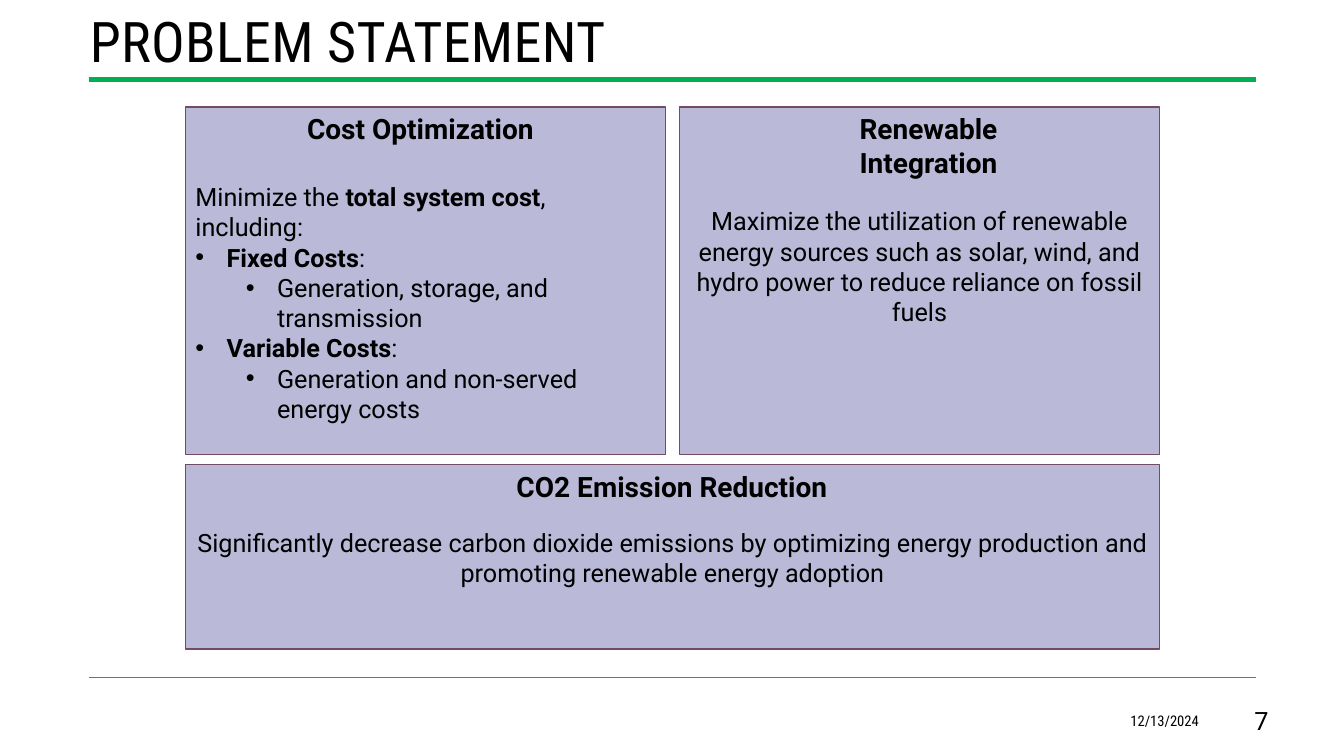
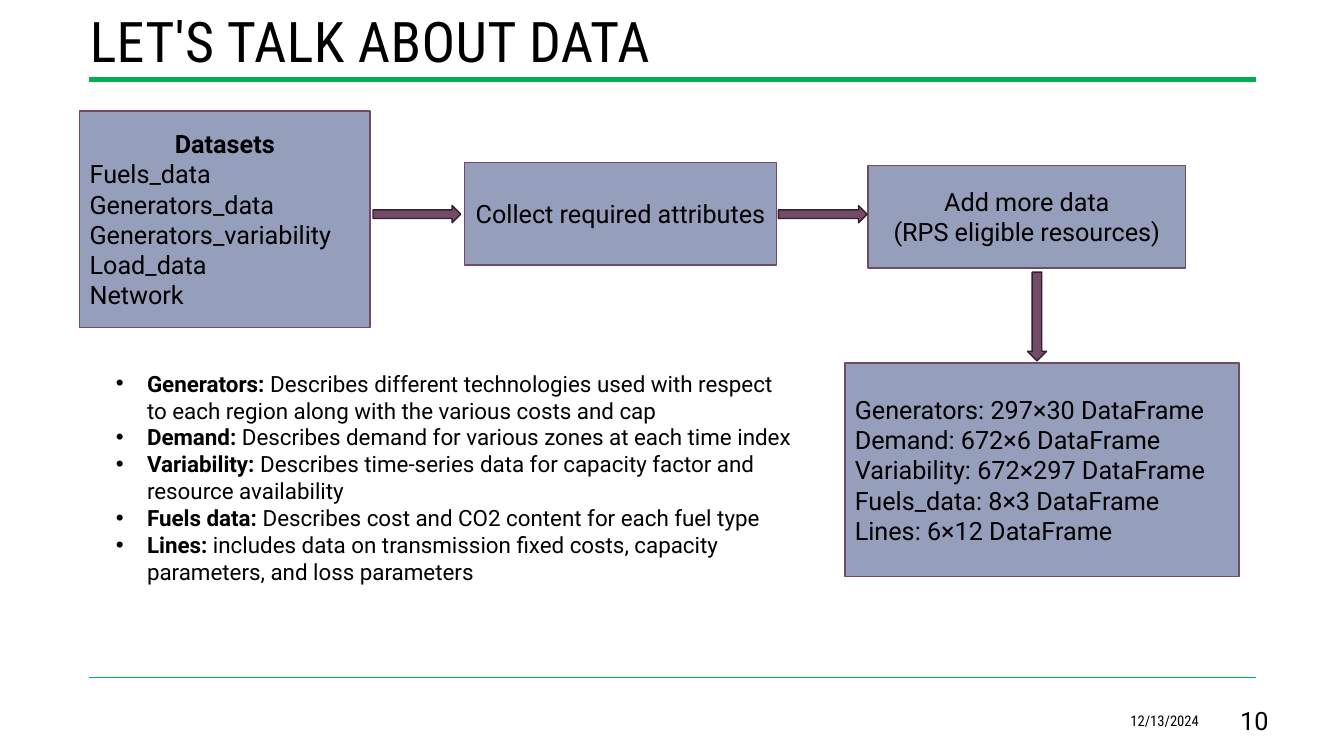
from dataclasses import dataclass

from lxml.etree import SubElement
from pptx import Presentation
from pptx.dml.color import RGBColor
from pptx.enum.shapes import MSO_CONNECTOR, MSO_SHAPE
from pptx.enum.text import MSO_ANCHOR, MSO_AUTO_SIZE, PP_ALIGN
from pptx.oxml.ns import qn
from pptx.util import Pt

PX = 9144  # EMU in one px; 100 px make an inch

BLACK = RGBColor(0x00, 0x00, 0x00)
GREEN = RGBColor(0x00, 0xB0, 0x50)
LILAC = RGBColor(0xBA, 0xBA, 0xD8)
SLATE = RGBColor(0x95, 0x9E, 0xBB)
PLUM = RGBColor(0x73, 0x4B, 0x67)
DARK_PLUM = RGBColor(0x32, 0x21, 0x2D)

BODY_FONT = "Roboto"
TITLE_FONT = "Roboto Condensed"
LEFT, CENTER, RIGHT = PP_ALIGN.LEFT, PP_ALIGN.CENTER, PP_ALIGN.RIGHT
TOP, MIDDLE = MSO_ANCHOR.TOP, MSO_ANCHOR.MIDDLE

DATE = "12/13/2024"
BULLET_INDENT, LEVEL_STEP = 31, 50


@dataclass
class Bullet:
    text: str
    level: int = 0


def emu(*lengths):
    return [length * PX for length in lengths]


def set_bullet(para, level):
    para.level = level
    properties = para._p.get_or_add_pPr()
    margin, indent = emu(BULLET_INDENT + LEVEL_STEP * level, BULLET_INDENT)
    properties.set("marL", str(margin))
    properties.set("indent", str(-indent))
    SubElement(properties, qn("a:buFont")).set("typeface", "Arial")
    SubElement(properties, qn("a:buChar")).set("char", "•")


def write(frame, lines, size=18, font=BODY_FONT, align=LEFT, anchor=TOP,
          top=5, spacing=None, tracking=None):
    """Fill a text frame with lines; **marks** enclose bold words."""
    frame.word_wrap = True
    frame.auto_size = MSO_AUTO_SIZE.NONE
    frame.vertical_anchor = anchor
    frame.margin_top = top * PX
    for index, line in enumerate(lines):
        para = frame.add_paragraph() if index else frame.paragraphs[0]
        para.alignment = align
        para.line_spacing = spacing
        if isinstance(line, Bullet):
            set_bullet(para, line.level)
            line = line.text
        for position, piece in enumerate(line.split("**")):
            if not piece:
                continue
            span = para.add_run()
            span.text = piece
            span.font.name = font
            span.font.size = Pt(size)
            span.font.bold = position % 2 == 1
            span.font.color.rgb = BLACK
            if tracking:
                span._r.get_or_add_rPr().set("spc", str(tracking))


def add_text(slide, area, lines, **style):
    box = slide.shapes.add_textbox(*emu(*area))
    write(box.text_frame, lines, **style)


def add_block(slide, kind, area, fill, line):
    block = slide.shapes.add_shape(kind, *emu(*area))
    block.shadow.inherit = False
    block.fill.solid()
    block.fill.fore_color.rgb = fill
    block.line.color.rgb = line
    block.line.width = Pt(1)
    return block


def add_panel(slide, area, fill, lines, **style):
    panel = add_block(slide, MSO_SHAPE.RECTANGLE, area, fill, PLUM)
    write(panel.text_frame, lines, **style)
    return panel


def add_card(slide, area, heading, heading_area, lines, **style):
    """Panel with a separately placed bold heading."""
    add_panel(slide, area, LILAC, lines, **style)
    add_text(slide, heading_area, [f"**{heading}**"], size=20, align=CENTER)


def add_rule(slide, y, weight):
    rule = slide.shapes.add_connector(
        MSO_CONNECTOR.STRAIGHT, *emu(88, y, 1246, y))
    rule.line.color.rgb = GREEN
    rule.line.width = Pt(weight)
    SubElement(rule._element.spPr, qn("a:effectLst"))


def add_page(deck, title, number):
    """Title-only slide with the shared rules, date and page number."""
    slide = deck.slides.add_slide(deck.slide_layouts[5])
    add_rule(slide, 79, 3.5)
    add_rule(slide, 672, 1)
    holder = slide.shapes.title
    holder.left, holder.top, holder.width, holder.height = emu(79, 0, 1169, 89)
    write(holder.text_frame, [title], size=40, font=TITLE_FONT,
          anchor=MIDDLE, spacing=0.9, tracking=30)
    add_text(slide, (915, 695, 284, 40), [DATE], size=10.5, font=TITLE_FONT,
             align=RIGHT, anchor=MIDDLE)
    add_text(slide, (1194, 695, 74, 40), [str(number)], align=RIGHT,
             anchor=MIDDLE)
    return slide


def build_problem(deck):
    slide = add_page(deck, "PROBLEM STATEMENT", 7)
    left, top, width, height, gap = 184, 106, 476, 345, 14
    right = left + width + gap
    bottom = top + height + 10

    add_card(slide, (left, top, width, height),
             "Cost Optimization", (267, top, 300, 44), [
                 "Minimize the **total system cost**, including:",
                 Bullet("**Fixed Costs**:"),
                 Bullet("Generation, storage, and transmission", 1),
                 Bullet("**Variable Costs**:"),
                 Bullet("Generation and non-served energy costs", 1),
             ], top=74)
    add_card(slide, (right, top, width, height),
             "Renewable Integration", (771, top, 300, 74), [
                 "Maximize the utilization of renewable energy sources such "
                 "as solar, wind, and hydro power to reduce reliance on "
                 "fossil fuels",
             ], align=CENTER, top=98)
    add_card(slide, (left, bottom, 2 * width + gap, 183),
             "CO2 Emission Reduction", (431, bottom, 471, 44), [
                 "Significantly decrease carbon dioxide emissions by "
                 "optimizing energy production and promoting renewable "
                 "energy adoption",
             ], align=CENTER, top=62)


def build_data(deck):
    slide = add_page(deck, "LET'S TALK ABOUT DATA", 10)
    datasets = add_panel(slide, (79, 110, 288, 215), SLATE, [
        "**Datasets**", "Fuels_data", "Generators_data",
        "Generators_variability", "Load_data", "Network",
    ], anchor=MIDDLE)
    datasets.text_frame.paragraphs[0].alignment = CENTER
    add_panel(slide, (461, 161, 309, 102), SLATE,
              ["Collect required attributes"], align=CENTER, anchor=MIDDLE)
    add_panel(slide, (861, 164, 315, 102), SLATE,
              ["Add more data", "(RPS eligible resources)"],
              align=CENTER, anchor=MIDDLE)

    frames = [("Generators", "297×30"), ("Demand", "672×6"),
              ("Variability", "672×297"), ("Fuels_data", "8×3"),
              ("Lines", "6×12")]
    add_panel(slide, (838, 360, 391, 212), SLATE,
              [f"{name}: {shape} DataFrame" for name, shape in frames],
              anchor=MIDDLE)

    meanings = [
        ("Generators", "Describes different technologies used with respect "
                       "to each region along with the various costs and cap"),
        ("Demand", "Describes demand for various zones at each time index"),
        ("Variability", "Describes time-series data for capacity factor and "
                        "resource availability"),
        ("Fuels data", "Describes cost and CO2 content for each fuel type"),
        ("Lines", "includes data on transmission fixed costs, capacity "
                  "parameters, and loss parameters"),
    ]
    add_text(slide, (105, 362, 691, 286),
             [Bullet(f"**{name}:** {meaning}") for name, meaning in meanings],
             size=16)

    for kind, area in [(MSO_SHAPE.RIGHT_ARROW, (370, 204, 87, 17)),
                       (MSO_SHAPE.RIGHT_ARROW, (772, 204, 88, 17)),
                       (MSO_SHAPE.DOWN_ARROW, (1019, 270, 19, 88))]:
        add_block(slide, kind, area, PLUM, DARK_PLUM)


def main():
    deck = Presentation()
    deck.slide_width, deck.slide_height = emu(1333, 750)
    build_problem(deck)
    build_data(deck)
    deck.save("out.pptx")


if __name__ == "__main__":
    main()
